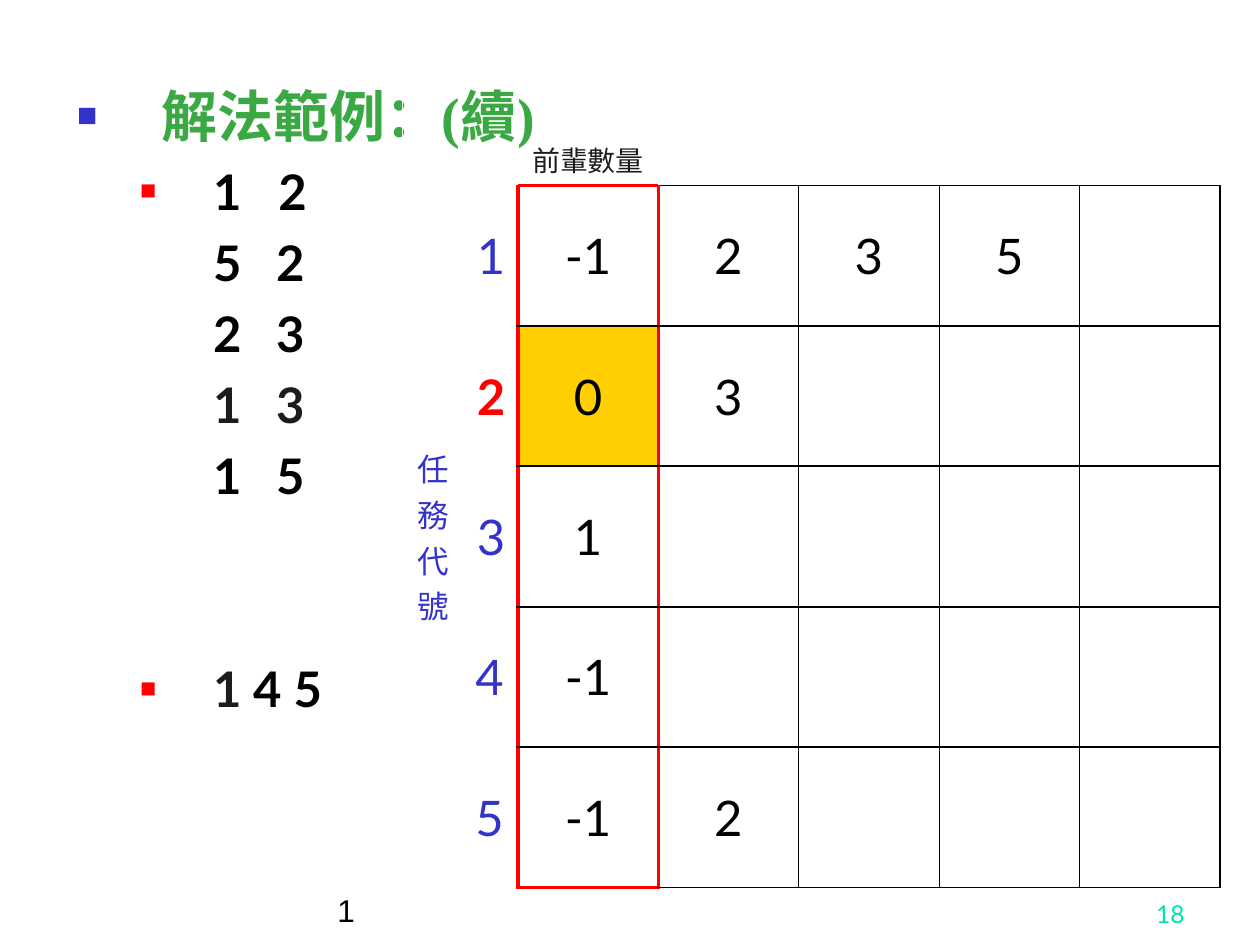
from lxml import etree
from pptx import Presentation
from pptx.dml.color import RGBColor
from pptx.enum.text import MSO_ANCHOR, MSO_AUTO_SIZE, PP_ALIGN
from pptx.oxml.ns import qn
from pptx.util import Cm, Pt

LEFT, CENTER, RIGHT = PP_ALIGN.LEFT, PP_ALIGN.CENTER, PP_ALIGN.RIGHT
MIDDLE, BOTTOM = MSO_ANCHOR.MIDDLE, MSO_ANCHOR.BOTTOM
NO_AUTOFIT = MSO_AUTO_SIZE.NONE

COLORS = {
    "black": "000000", "ink": "1C1C1C", "white": "FFFFFF", "green": "3BA943",
    "blue": "3333CC", "red": "FF0000", "gold": "FFCF01", "mint": "00E4A8",
}
TITLE_AND_CONTENT = 1
ROW_COUNT, COLUMN_COUNT = 6, 7
CELL_SIZE = 2.83
COLUMN_WIDTHS = [1.2, 1.14] + [CELL_SIZE] * 5
# Second-number stops, measured from the indent and from the box edge
PAIR_TABS = (1.32, 4.06)

TASK_ROWS = [
    ["-1", "2", "3", "5"],
    ["0", "3"],
    ["1"],
    ["-1"],
    ["-1", "2"],
]
CURRENT_TASK = 2


def vertical_border(row, edge):
    """Colour and width of the line at a column edge."""
    if row == 0 or edge < 2:
        return "white", 0.34
    if edge in (2, 3):
        return "red", 2.21
    return "black", 1.08 if edge == COLUMN_COUNT else 0.45


def horizontal_border(edge, column):
    """Colour and width of the line at a row edge."""
    if edge == 0 or column < 2:
        return "white", 0.34
    if edge in (1, ROW_COUNT):
        return ("red", 2.21) if column == 2 else ("black", 1.08)
    return "black", 1.47


class SlideBuilder:
    def __init__(self, presentation, font="Lato"):
        self.font = font
        layout = presentation.slide_layouts[TITLE_AND_CONTENT]
        self.slide = presentation.slides.add_slide(layout)
        title = self.slide.shapes.title
        title.element.getparent().remove(title.element)

    def run(self, paragraph, text, size, color, bold=False, font=None):
        run = paragraph.add_run()
        run.text = text
        run.font.name = font or self.font
        run.font.size = Pt(size)
        run.font.bold = bold
        run.font.color.rgb = RGBColor.from_string(COLORS[color])

    def body(self, left, top, width, height):
        shape = self.slide.placeholders[1]
        shape.left, shape.top = Cm(left), Cm(top)
        shape.width, shape.height = Cm(width), Cm(height)
        frame = shape.text_frame
        frame.auto_size = NO_AUTOFIT
        frame.word_wrap = True
        return frame

    def list_format(self, paragraph, margin, hanging, bullet=None, tabs=()):
        """Set indents, tab stops and a (colour, percent) square bullet."""
        properties = paragraph._p.get_or_add_pPr()
        properties.set("marL", str(Cm(margin)))
        properties.set("indent", str(-Cm(hanging) if bullet else 0))
        if bullet:
            color, percent = bullet
            holder = etree.SubElement(properties, qn("a:buClr"))
            etree.SubElement(holder, qn("a:srgbClr"), val=COLORS[color])
            etree.SubElement(properties, qn("a:buSzPct"), val=str(percent * 1000))
            etree.SubElement(properties, qn("a:buFont"), typeface="Arial")
            etree.SubElement(properties, qn("a:buChar"), char="■")
        else:
            etree.SubElement(properties, qn("a:buNone"))
        if tabs:
            tab_list = etree.SubElement(properties, qn("a:tabLst"))
            for stop in tabs:
                etree.SubElement(tab_list, qn("a:tab"), pos=str(Cm(stop)), algn="l")

    def text_box(self, text, left, top, width, height, size, color, align=LEFT, font=None):
        box = self.slide.shapes.add_textbox(Cm(left), Cm(top), Cm(width), Cm(height))
        frame = box.text_frame
        frame.word_wrap = True
        frame.vertical_anchor = BOTTOM
        paragraph = frame.paragraphs[0]
        paragraph.alignment = align
        self.run(paragraph, text, size, color, font=font)

    def table(self, left, top):
        frame = self.slide.shapes.add_table(
            ROW_COUNT, COLUMN_COUNT, Cm(left), Cm(top),
            Cm(sum(COLUMN_WIDTHS)), Cm(CELL_SIZE * ROW_COUNT))
        table = frame.table
        table.first_row = table.horz_banding = False
        for column, width in zip(table.columns, COLUMN_WIDTHS):
            column.width = Cm(width)
        for row in table.rows:
            row.height = Cm(CELL_SIZE)
        for row in range(ROW_COUNT):
            for column in range(COLUMN_COUNT):
                cell = table.cell(row, column)
                cell.fill.background()
                self.borders(cell, row, column)
        return table

    def borders(self, cell, row, column):
        sides = {
            "a:lnL": vertical_border(row, column),
            "a:lnR": vertical_border(row, column + 1),
            "a:lnT": horizontal_border(row, column),
            "a:lnB": horizontal_border(row + 1, column),
        }
        properties = cell._tc.get_or_add_tcPr()
        for position, (tag, (color, width)) in enumerate(sides.items()):
            line = etree.Element(qn(tag), w=str(Pt(width)))
            fill = etree.SubElement(line, qn("a:solidFill"))
            etree.SubElement(fill, qn("a:srgbClr"), val=COLORS[color])
            properties.insert(position, line)

    def cell_text(self, cell, text, size=28, color="black", align=CENTER,
                  anchor=MIDDLE, bold=False):
        cell.vertical_anchor = anchor
        paragraph = cell.text_frame.paragraphs[0]
        paragraph.alignment = align
        self.run(paragraph, text, size, color, bold)


def add_solution(builder):
    frame = builder.body(1.3, 1.52, 22.81, 16.21)
    heading = frame.paragraphs[0]
    heading.space_before = Pt(0)
    builder.list_format(heading, 1.7, 1.7, ("blue", 60))
    builder.run(heading, "解法範例：(續)", 32, "green", True, "Times New Roman")

    # Runs of each line, its space before, and whether it has a bullet
    lines = [
        ([("1\t2", "black")], 7, True),
        ([("5\t2", "black")], 7, False),
        ([("2\t3", "black")], 7, False),
        ([("1\t3", "ink")], 7, False),
        ([("1\t5", "black")], 7, False),
        ([("1", "ink"), (" 4 5", "black")], 88, True),
    ]
    for runs, space, has_bullet in lines:
        paragraph = frame.add_paragraph()
        paragraph.level = 1
        paragraph.space_before = Pt(space)
        bullet = ("red", 55) if has_bullet else None
        builder.list_format(paragraph, 2.74, 1.47, bullet, PAIR_TABS)
        for text, color in runs:
            builder.run(paragraph, text, 28, color, True)


def add_task_table(builder):
    table = builder.table(8.1, 0.91)
    table.cell(0, 4).merge(table.cell(0, 6))
    table.cell(1, 0).merge(table.cell(5, 0))
    builder.cell_text(table.cell(0, 2), "前輩數量", 16, "ink", anchor=BOTTOM)
    builder.cell_text(table.cell(1, 0), "任務代號", 18, "blue", RIGHT)
    for task, values in enumerate(TASK_ROWS, start=1):
        current = task == CURRENT_TASK
        builder.cell_text(table.cell(task, 1), str(task),
                          color="red" if current else "blue",
                          align=RIGHT if task <= 3 else CENTER, bold=current)
        count_fill = table.cell(task, 2).fill
        count_fill.solid()
        count_fill.fore_color.rgb = RGBColor.from_string(
            COLORS["gold" if current else "white"])
        for column, value in enumerate(values, start=2):
            builder.cell_text(table.cell(task, column), value)


def main():
    presentation = Presentation()
    presentation.slide_width, presentation.slide_height = Cm(25.4), Cm(19.05)
    builder = SlideBuilder(presentation)
    add_solution(builder)
    add_task_table(builder)
    builder.text_box("1", 6.55, 17.58, 13.77, 1.27, 18, "black", font="Arial")
    builder.text_box("18", 18.85, 17.58, 5.28, 1.27, 14, "mint", RIGHT)
    presentation.save("out.pptx")


if __name__ == "__main__":
    main()
